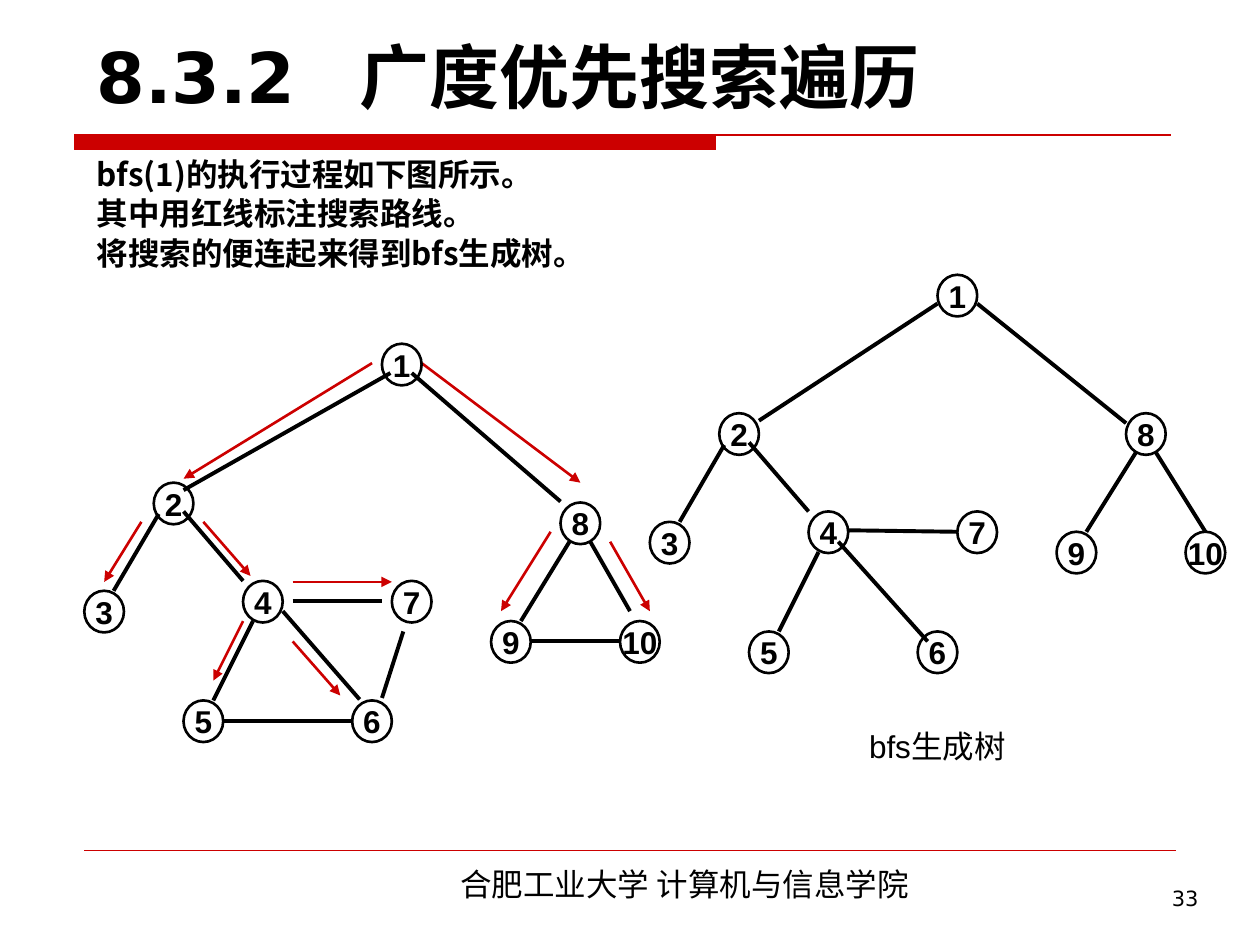
from lxml.etree import SubElement
from pptx import Presentation
from pptx.dml.color import RGBColor
from pptx.enum.shapes import MSO_CONNECTOR as Connector, MSO_SHAPE as Shape
from pptx.enum.text import MSO_ANCHOR as Anchor, PP_ALIGN as Align
from pptx.oxml.ns import qn
from pptx.util import Cm, Pt

RED = RGBColor(0xCC, 0x00, 0x00)
BLACK = RGBColor(0x00, 0x00, 0x00)
HAN_FONT = "Noto Sans CJK SC"
NODE_WIDTH, NODE_HEIGHT = 0.8, 0.84


def write(frame, text, size=18, font="Arial", bold=False, align=Align.LEFT,
          anchor=Anchor.TOP, wrap=True, spacing=None, before=0, tab=None):
    """Fill a text frame, one paragraph per line of text."""
    frame.word_wrap = wrap
    frame.vertical_anchor = anchor
    for number, line in enumerate(text.split("\n")):
        paragraph = frame.paragraphs[0] if number == 0 else frame.add_paragraph()
        paragraph.alignment = align
        if spacing:
            paragraph.line_spacing = spacing
        if number and before:
            paragraph.space_before = Pt(before)
        if tab:
            stops = SubElement(paragraph._p.get_or_add_pPr(), qn("a:tabLst"))
            SubElement(stops, qn("a:tab"), pos=str(Cm(tab)), algn="l")
        run = paragraph.add_run()
        run.text = line
        run.font.size = Pt(size)
        run.font.bold = bold
        run.font.name = font
        run.font.color.rgb = BLACK
        SubElement(run._r.get_or_add_rPr(), qn("a:ea"), typeface=HAN_FONT)


class Board:
    """Draws on one slide, with lengths in centimetres."""

    def __init__(self, slide):
        self.shapes = slide.shapes

    def text(self, left, top, width, height, text, **style):
        box = self.shapes.add_textbox(Cm(left), Cm(top), Cm(width), Cm(height))
        write(box.text_frame, text, **style)

    def line(self, start, end, color=BLACK, width=2.25, arrow=False, parent=None):
        link = (parent or self.shapes).add_connector(
            Connector.STRAIGHT, *map(Cm, start + end))
        link.line.color.rgb = color
        link.line.width = Pt(width)
        SubElement(link._element.spPr, qn("a:effectLst"))
        if arrow:
            SubElement(link.line._get_or_add_ln(), qn("a:tailEnd"), type="triangle")

    def node(self, label, left, top, parent):
        circle = parent.add_shape(Shape.OVAL, Cm(left), Cm(top),
                                  Cm(NODE_WIDTH), Cm(NODE_HEIGHT))
        circle.shadow.inherit = False
        circle.fill.background()
        circle.line.color.rgb = BLACK
        circle.line.width = Pt(1.5)
        write(circle.text_frame, str(label), bold=True, align=Align.CENTER,
              anchor=Anchor.MIDDLE, wrap=False)

    def graph(self, edges, nodes):
        members = self.shapes.add_group_shape().shapes
        for start, end in edges:
            self.line(start, end, parent=members)
        for label, (left, top) in nodes.items():
            self.node(label, left, top, members)

    def title_rule(self, left, top, bar_right, bar_bottom, right):
        pen = self.shapes.build_freeform(Cm(left), Cm(top))
        corners = [(bar_right, top), (bar_right, bar_bottom), (left, bar_bottom)]
        pen.add_line_segments([(Cm(x), Cm(y)) for x, y in corners], close=True)
        pen.move_to(Cm(left), Cm(top))
        pen.add_line_segments([(Cm(right), Cm(top))], close=False)
        rule = pen.convert_to_shape()
        rule.shadow.inherit = False
        rule.fill.solid()
        rule.fill.fore_color.rgb = RED
        rule.line.color.rgb = RED
        rule.line.width = Pt(0.75)


SEARCH_ROUTE = [
    ((7.5, 7.32), (3.7, 9.65)), ((2.85, 10.52), (2.1, 11.73)),
    ((5.9, 11.73), (7.9, 11.73)), ((8.5, 7.32), (11.7, 9.73)),
    ((4.1, 10.52), (5.05, 11.61)), ((5.9, 12.93), (6.86, 14.02)),
    ((4.9, 12.52), (4.3, 13.72)), ((12.3, 10.92), (13.1, 12.32)),
    ((11.1, 10.72), (10.1, 12.32)),
]
GRAPH_EDGES = [
    ((7.87, 7.52), (3.7, 9.88)), ((3.2, 10.36), (2.29, 11.91)),
    ((3.7, 10.31), (4.9, 11.71)), ((5.1, 12.52), (4.3, 14.12)),
    ((5.7, 12.32), (7.25, 14.1)), ((8.13, 12.73), (7.7, 14.07)),
    ((5.9, 12.12), (7.7, 12.12)), ((8.3, 7.52), (11.3, 10.11)),
    ((11.48, 10.92), (10.5, 12.52)), ((11.9, 10.92), (12.7, 12.32)),
    ((10.7, 12.93), (12.5, 12.93)), ((4.5, 14.53), (7.1, 14.53)),
]
GRAPH_NODES = {
    6: (7.1, 14.12), 7: (7.9, 11.71), 1: (7.7, 6.93), 2: (3.1, 9.73),
    5: (3.7, 14.12), 3: (1.7, 11.91), 4: (4.9, 11.71), 8: (11.3, 10.13),
    10: (12.5, 12.52), 9: (9.9, 12.52),
}
TREE_EDGES = [
    ((18.9, 6.12), (15.3, 8.48)), ((14.6, 8.97), (13.7, 10.52)),
    ((15.1, 8.92), (16.3, 10.31)), ((16.5, 11.13), (15.7, 12.73)),
    ((19.3, 10.72), (17.1, 10.69)), ((19.7, 6.12), (22.7, 8.53)),
    ((22.9, 9.12), (21.9, 10.72)), ((23.3, 9.12), (24.3, 10.72)),
    ((16.9, 10.92), (18.7, 12.93)),
]
TREE_NODES = {
    6: (18.5, 12.73), 7: (19.3, 10.31), 1: (18.9, 5.54), 2: (14.5, 8.33),
    5: (15.1, 12.73), 3: (13.1, 10.52), 4: (16.3, 10.31), 8: (22.7, 8.33),
    10: (23.9, 10.72), 9: (21.3, 10.72),
}


def main():
    deck = Presentation()
    deck.slide_width, deck.slide_height = Cm(25.4), Cm(19.05)
    board = Board(deck.slides.add_slide(deck.slide_layouts[6]))

    # Rules and footer
    board.title_rule(1.5, 2.72, 14.43, 3.02, 23.6)
    board.line((1.7, 17.15), (23.7, 17.15), color=RED, width=0.25)
    board.text(6.1, 17.32, 15.4, 1.02, "合肥工业大学 计算机与信息学院",
               font=HAN_FONT, align=Align.CENTER)

    # Title and explanation
    board.text(1.7, -0.89, 22.23, 3.38, "8.3.2\t广度优先搜索遍历", size=40,
               font="DejaVu Sans", bold=True, anchor=Anchor.BOTTOM, tab=5.3)
    board.text(1.7, 3.12, 22.2, 13.79,
               "bfs(1)的执行过程如下图所示。\n其中用红线标注搜索路线。\n"
               "将搜索的便连起来得到bfs生成树。",
               font=HAN_FONT, bold=True, spacing=0.84, before=4.5)

    # Search route over the graph
    for start, end in SEARCH_ROUTE:
        board.line(start, end, color=RED, width=1.5, arrow=True)
    board.graph(GRAPH_EDGES, GRAPH_NODES)

    # Spanning tree
    board.graph(TREE_EDGES, TREE_NODES)
    board.text(16.1, 14.53, 5.59, 1.02, "bfs生成树", align=Align.CENTER)

    # Page number
    board.text(18.9, 17.73, 5.51, 1.32, "33", size=12, font="DejaVu Sans",
               align=Align.RIGHT)

    deck.save("out.pptx")


if __name__ == "__main__":
    main()
